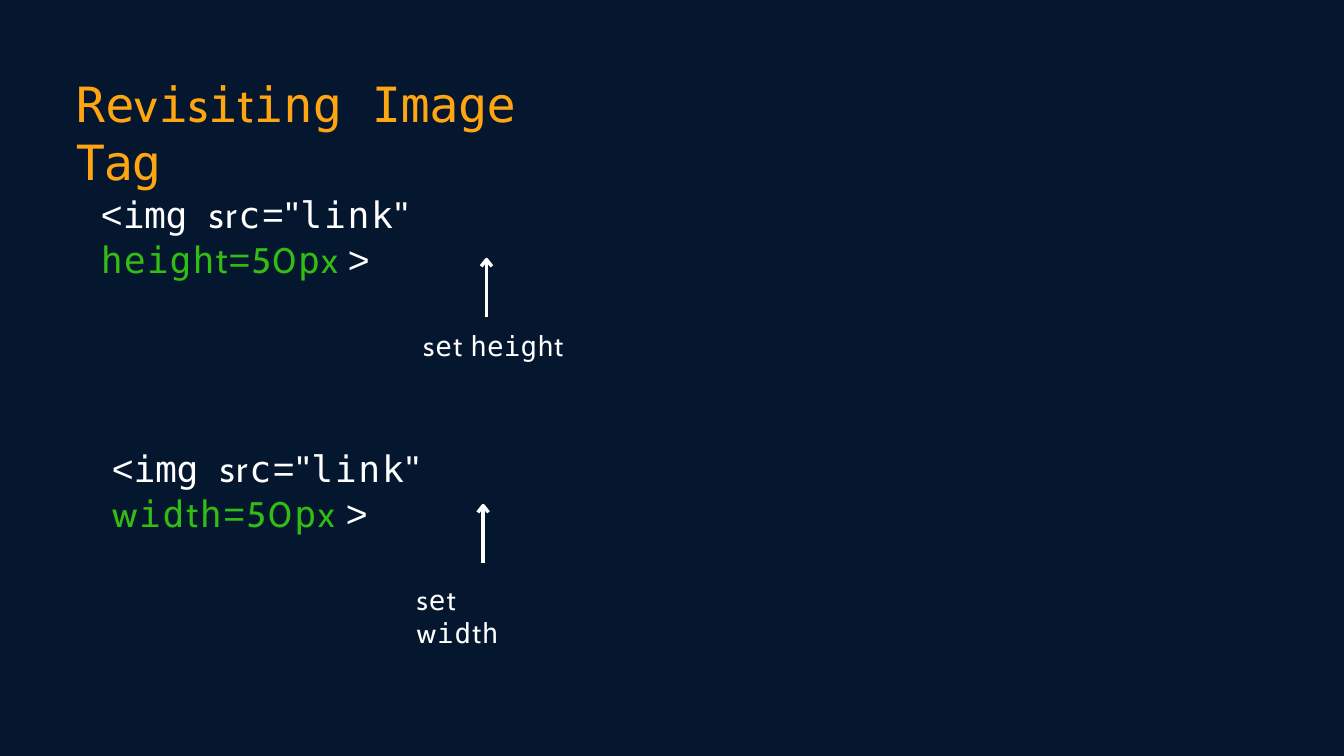
from pptx import Presentation
from pptx.dml.color import RGBColor
from pptx.enum import shapes, text
from pptx.oxml import parse_xml
from pptx.oxml.ns import nsdecls
from pptx.util import Pt

HUES = {"navy": "04172F", "gold": "FFA511", "white": "FFFFFF", "green": "32BD15"}
FONTS = {"m": "DejaVu Sans Mono", "c": "Cabin", "a": "Arial"}
BIG = {"m": 52, "c": 51}
CODE = {"m": 39, "c": 38, "a": 40}
NOTE = {"m": 29.5, "c": 29}

deck = Presentation()
deck.slide_width, deck.slide_height = Pt(1440), Pt(810)
slide = deck.slides.add_slide(deck.slide_layouts[6])
back = slide.shapes.add_shape(
    shapes.MSO_SHAPE.RECTANGLE, 0, 0, deck.slide_width, deck.slide_height)
back.shadow.inherit = False
back.fill.solid()
back.fill.fore_color.rgb = RGBColor.from_string(HUES["navy"])
back.line.fill.background()


def write(left, top, width, height, sizes, groups):
    box = slide.shapes.add_textbox(Pt(left), Pt(top), Pt(width), Pt(height))
    frame = box.text_frame
    frame.word_wrap = True
    frame.auto_size = text.MSO_AUTO_SIZE.NONE
    frame.margin_left = frame.margin_right = frame.margin_bottom = 0
    frame.margin_top = Pt(1.4)
    para = frame.paragraphs[0]
    para.space_before = Pt(1.2)
    for hue, gap, parts in groups:
        for face, words in parts:
            run = para.add_run()
            run.text = words
            run.font.name = FONTS[face]
            run.font.size = Pt(sizes[face])
            run.font.color.rgb = RGBColor.from_string(HUES[hue])
            run._r.get_or_add_rPr().set("spc", str(round(gap * 100)))


def arrow(x, low, high):
    shaft = slide.shapes.add_connector(
        shapes.MSO_CONNECTOR.STRAIGHT, Pt(x), Pt(low), Pt(x), Pt(high))
    shaft._element.spPr.append(parse_xml(f'<a:effectLst {nsdecls("a")}/>'))
    pen = slide.shapes.build_freeform(Pt(x - 5.7), Pt(high + 6.8))
    pen.add_line_segments(
        [(Pt(x), Pt(high - 0.4)), (Pt(x + 5.7), Pt(high + 6.8))], close=False)
    head = pen.convert_to_shape()
    head.shadow.inherit = False
    head.fill.background()
    for part in (shaft, head):
        part.line.width = Pt(3.75)
        part.line.color.rgb = RGBColor.from_string(HUES["white"])


write(81.4, 77.8, 511, 65, BIG, [
    ("gold", 0.3, [("m", "Re"), ("c", "v"), ("m", "i"), ("c", "s"),
                   ("m", "i"), ("c", "t"), ("m", "ing ")]),
    ("gold", -0.5, [("m", "Image ")]),
    ("gold", -1.4, [("m", "Tag")]),
])

HIGH = [("m", "heigh"), ("c", "t")]
WIDE = [("c", "w"), ("m", "id"), ("c", "t"), ("m", "h")]
rows = [
    (HIGH, 108.2, 579.6, 1.1, 453.4, 230, 0.2, 521.3, 339.8),
    (WIDE, 119.9, 565, 1.7, 446.4, 131, 0.9, 517.7, 603.4),
]
for i, (name, left, width, gap, x, span, tight, tip, low) in enumerate(rows):
    drop = 272.2 * i
    write(left, 203.6 + drop, width, 50, CODE, [
        ("white", -0.5, [("a", "<"), ("m", "img ")]),
        ("white", 1.8, [("c", "sr"), ("m", "c"), ("a", '="'),
                        ("m", "link"), ("a", '" ')]),
        ("green", gap, name + [("a", "="), ("c", "50"), ("m", "p"), ("c", "x ")]),
        ("white", 2, [("a", ">")]),
    ])
    write(x, 351.4 + drop, span, 37, NOTE, [
        ("white", 1.1, [("c", "s"), ("m", "e"), ("c", "t ")]),
        ("white", tight, name),
    ])
    arrow(tip, low, low - 61.2)

deck.save("out.pptx")
